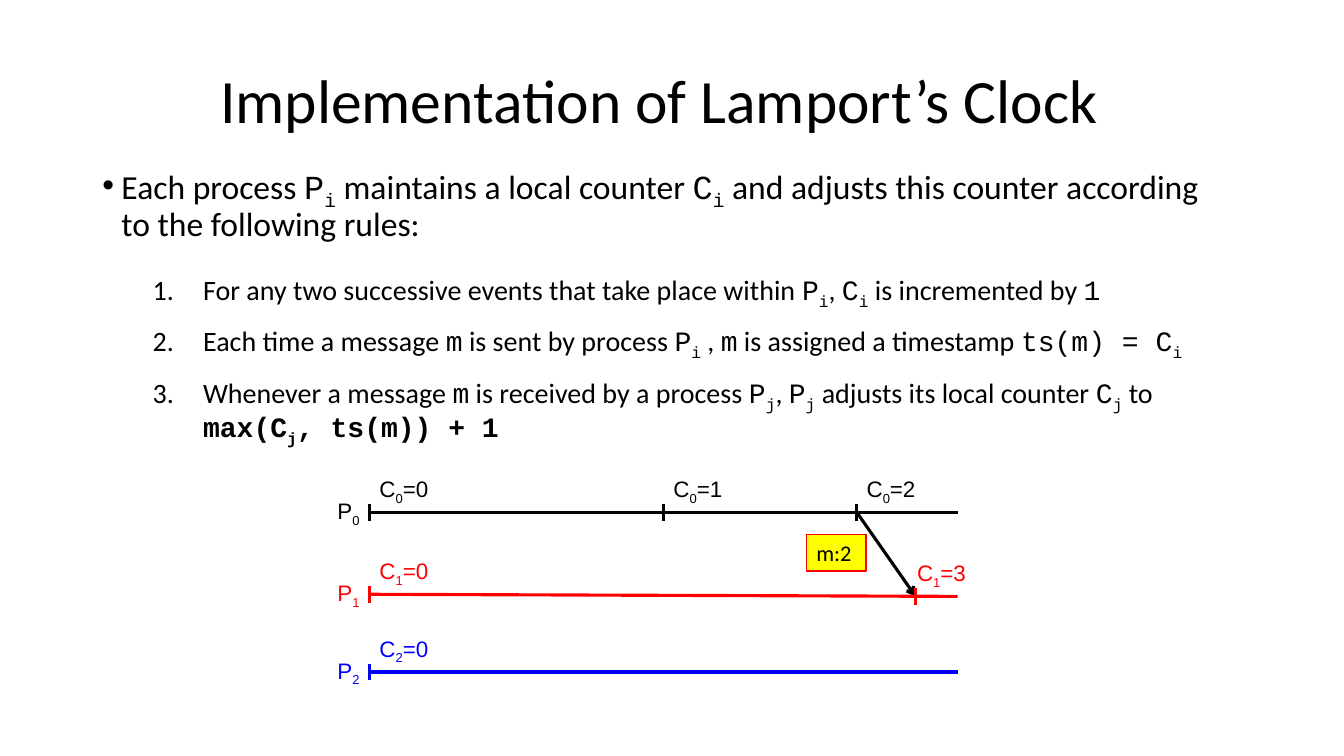
from pptx import Presentation
from pptx.dml.color import RGBColor
from pptx.enum.shapes import MSO_CONNECTOR as LINE, MSO_SHAPE as SHAPE
from pptx.enum.text import MSO_ANCHOR as ANCHOR, PP_ALIGN as ALIGN
from pptx.oxml.ns import qn
from pptx.util import Inches, Pt
from lxml.etree import SubElement as Sub

COLS, ROWS = 160, 90  # grid over the whole slide
WIDE, HIGH = Inches(13.333), Inches(7.5)
HEX = {"black": "000000", "red": "FF0000", "blue": "0000FF", "yellow": "FFFF00"}
START, END = 44, 114  # columns spanned by each time line

INTRO = ("Each process `P_i` maintains a local counter `C_i` and adjusts "
         "this counter according to the following rules:")
RULES = [
    "For any two successive events that take place within `P_i`, `C_i` "
    "is incremented by `1`",
    "Each time a message `m` is sent by process `P_i` , `m` is assigned "
    "a timestamp `ts(m) = C_i`",
    "Whenever a message `m` is received by a process `P_j`, `P_j` adjusts "
    "its local counter `C_j` to `*max(C_j, ts(m)) + 1`",
]
# Process colour, first row, last row, events as (column, counter)
CLOCKS = [
    ("black", 61, 61, [(START, 0), (79, 1), (102, 2)]),
    ("red", 70.75, 71, [(START, 0), (109, 3)]),
    ("blue", 80, 80, [(START, 0)]),
]


def rgb(name):
    return RGBColor.from_string(HEX[name])


def at(col, row):
    return round(col * WIDE / COLS), round(row * HIGH / ROWS)


def add_run(par, text, size, font, color="black", bold=False, sub=False):
    run = par.add_run()
    run.text = text
    face = run.font
    face.size, face.name, face.bold = Pt(size), font, bold
    face.color.rgb = rgb(color)
    if sub:
        run._r.get_or_add_rPr().set("baseline", "-25000")


def write(par, text, size, font="Calibri", color="black"):
    """Backticks hold code, a leading * makes it bold, _ lowers one letter."""
    for i, part in enumerate(text.split("`")):
        face = "Courier New" if i % 2 else font
        bold = part.startswith("*")
        head, *tails = part.lstrip("*").split("_")
        if head:
            add_run(par, head, size, face, color, bold)
        for tail in tails:
            add_run(par, tail[0], size, face, color, bold, sub=True)
            if tail[1:]:
                add_run(par, tail[1:], size, face, color, bold)


def add_box(slide, col, row, cols, rows):
    box = slide.shapes.add_textbox(*at(col, row), *at(cols, rows))
    box.text_frame.word_wrap = True
    return box.text_frame


def set_list(par, left, hang, tag, **attrs):
    props = par._p.get_or_add_pPr()
    props.set("marL", str(Inches(left)))
    props.set("indent", str(-Inches(hang)))
    if tag == "a:buChar":
        Sub(props, qn("a:buFont")).set("typeface", "Arial")
    mark = Sub(props, qn(tag))
    for key, value in attrs.items():
        mark.set(key, value)


def add_line(slide, start, end, color, arrow=False):
    line = slide.shapes.add_connector(LINE.STRAIGHT, *at(*start), *at(*end))
    line.line.color.rgb = rgb(color)
    line.line.width = Pt(2.25)
    if arrow:
        Sub(line.line._get_or_add_ln(), qn("a:tailEnd")).set("type", "arrow")
    Sub(line._element.spPr, qn("a:effectLst"))


def add_label(slide, col, row, cols, text, color):
    frame = add_box(slide, col, row, cols, 4.4)
    write(frame.paragraphs[0], text, 16, "Arial", color)


def add_title(slide):
    frame = add_box(slide, 23, 3.6, 111, 17.4)
    frame.vertical_anchor = ANCHOR.MIDDLE
    par = frame.paragraphs[0]
    par.alignment, par.line_spacing = ALIGN.CENTER, 0.9
    write(par, "Implementation of Lamport’s Clock", 44)


def add_body(slide):
    frame = add_box(slide, 11, 19.2, 136, 33.8)
    par = frame.paragraphs[0]
    par.line_spacing, par.space_before = 0.9, Pt(7.5)
    set_list(par, 0.19, 0.19, "a:buChar", char="•")
    write(par, INTRO, 24)
    for i, rule in enumerate(RULES):
        par = frame.add_paragraph()
        par.level, par.line_spacing = 1, 0.9
        par.space_before, par.space_after = Pt(6 if i else 21), Pt(6)
        set_list(par, 1, 0.5, "a:buAutoNum", type="arabicPeriod")
        write(par, rule, 20)


def add_clock(slide, i, color, first, last, events):
    add_line(slide, (START, first), (END, last), color)
    add_label(slide, START - 5, first - 2.4, 7, f"P_{i}", color)
    for col, count in events:
        row = first if col == START else last
        add_line(slide, (col, row - 1), (col, row + 1), color)
        add_label(slide, col - (col == 109), row - 5, 17, f"C_{i}={count}", color)


def add_note(slide):
    note = slide.shapes.add_shape(SHAPE.RECTANGLE, *at(96, 63.6), *at(7.1, 4.4))
    note.shadow.inherit = False
    note.fill.solid()
    note.fill.fore_color.rgb = rgb("yellow")
    note.line.color.rgb = rgb("red")
    note.line.width = Pt(1)
    frame = note.text_frame
    frame.word_wrap = False
    frame.vertical_anchor = ANCHOR.TOP
    par = frame.paragraphs[0]
    par.alignment = ALIGN.LEFT
    write(par, "m:2 ", 16)


def main():
    deck = Presentation()
    deck.slide_width, deck.slide_height = WIDE, HIGH
    slide = deck.slides.add_slide(deck.slide_layouts[6])
    add_title(slide)
    add_body(slide)
    # Message from the first process to the second
    add_line(slide, (102, 61), (109, 71), "black", arrow=True)
    for i, clock in enumerate(CLOCKS):
        add_clock(slide, i, *clock)
    add_note(slide)
    deck.save("out.pptx")


main()
